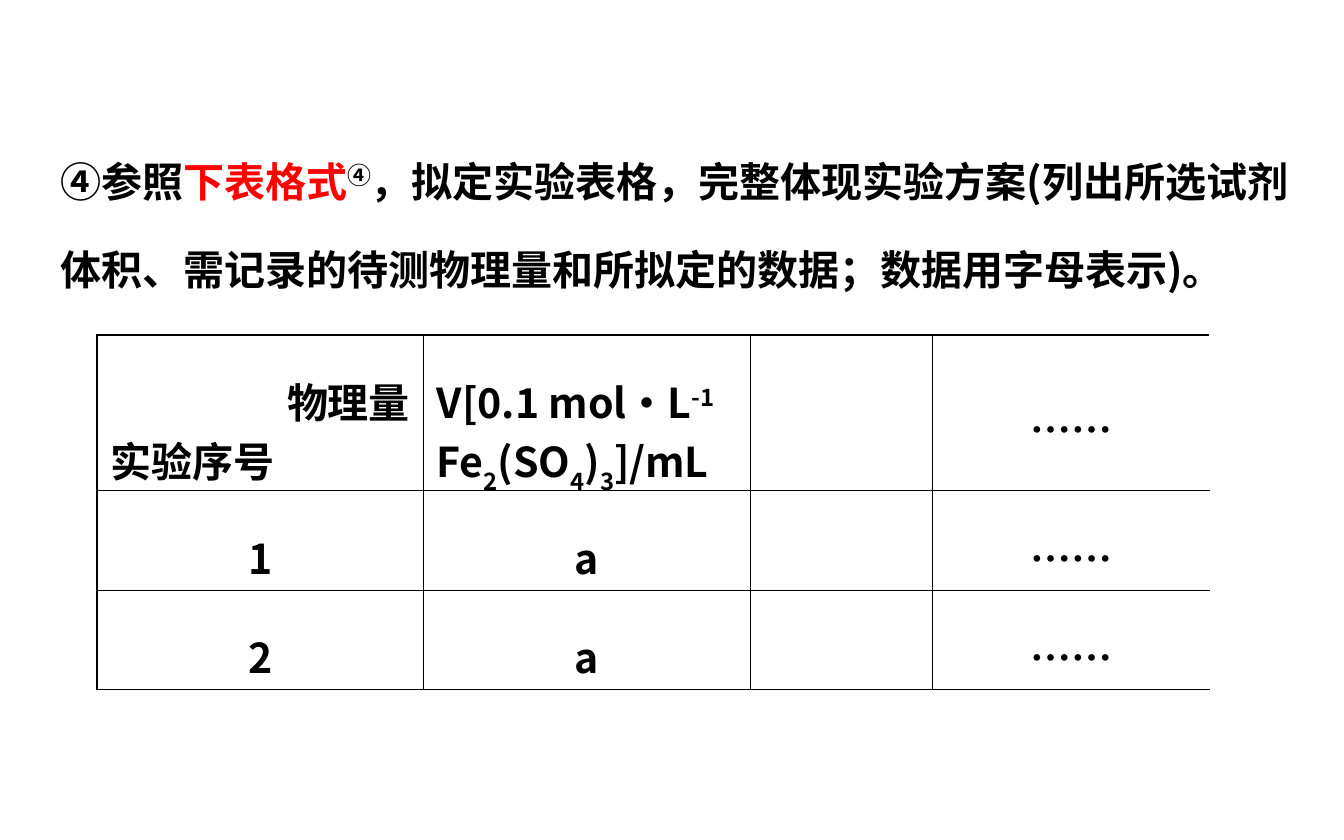
from pptx import Presentation
from pptx import util as u
from pptx.dml.color import RGBColor
from pptx.enum import text
from pptx.oxml import parse_xml
from pptx.oxml.ns import nsdecls, qn

PX = 9144  # EMU; 100 px to the inch
FONT = "Noto Sans CJK SC"
BLACK, RED, WHITE = "000000", "FF0000", "FFFFFF"
THIN, THICK = 0.45, 1.08
LEFT, CENTER, RIGHT = text.PP_ALIGN.LEFT, text.PP_ALIGN.CENTER, text.PP_ALIGN.RIGHT

QUESTION = [
    ("④参照", BLACK, 0),
    ("下表格式", RED, 0),
    ("④", BLACK, 30),
    ("，拟定实验表格，完整体现实验方案(列出所选试剂体积、需记录的待测物理量和所拟定的数据；数据用字母表示)。", BLACK, 0),
]


def plain(words):
    return [(words, BLACK, 0)]


def one_line(words):
    return [(plain(words), CENTER, 1.5)]


# Each cell is a list of paragraphs: (runs, alignment, line spacing)
CORNER = [(plain("物理量"), RIGHT, 1.5), (plain("实验序号"), LEFT, 1)]
VOLUME = [
    ([("V[0.1 mol·L", BLACK, 0), ("-1", BLACK, 30)], LEFT, 1.5),
    ([("Fe", BLACK, 0), ("2", BLACK, -30), ("(SO", BLACK, 0), ("4", BLACK, -30),
      (")", BLACK, 0), ("3", BLACK, -30), ("]/mL", BLACK, 0)], LEFT, 1),
]
DOTS = one_line("……")
ROWS = [[CORNER, VOLUME, [], DOTS]] + [
    [one_line(number), one_line("a"), [], DOTS] for number in ("1", "2")
]


def px(*lengths):
    return [u.Emu(length * PX) for length in lengths]


def colour(hex_string):
    return RGBColor.from_string(hex_string)


def write_paragraph(paragraph, runs, align, spacing):
    paragraph.alignment = align
    paragraph.line_spacing = spacing
    for words, ink, baseline in runs:
        run = paragraph.add_run()
        run.text = words
        run.font.size = u.Pt(22)
        run.font.bold = True
        run.font.name = FONT
        run.font.color.rgb = colour(ink)
        properties = run._r.get_or_add_rPr()
        east_asian = parse_xml(f'<a:ea {nsdecls("a")} typeface="{FONT}"/>')
        properties.find(qn("a:latin")).addnext(east_asian)
        if baseline:
            properties.set("baseline", str(baseline * 1000))


def set_borders(cell, borders):
    """Draw (side, colour, points) borders, given in the order L, R, T, B."""
    properties = cell._tc.get_or_add_tcPr()
    for place, (side, ink, points) in enumerate(borders):
        properties.insert(place, parse_xml(
            f'<a:ln{side} {nsdecls("a")} w="{u.Pt(points)}"><a:solidFill>'
            f'<a:srgbClr val="{ink}"/></a:solidFill></a:ln{side}>'))


def add_question(slide, left, top, width, height):
    frame = slide.shapes.add_textbox(*px(left, top, width, height)).text_frame
    frame.word_wrap = True
    write_paragraph(frame.paragraphs[0], QUESTION, LEFT, 1.8)


def add_experiment_table(slide, left, top, widths, heights):
    box = px(left, top, sum(widths), sum(heights))
    table = slide.shapes.add_table(len(heights), len(widths), *box).table
    for column, width in zip(table.columns, px(*widths)):
        column.width = width
    for row, height in zip(table.rows, px(*heights)):
        row.height = height

    last_row, last_column = len(heights) - 1, len(widths) - 1
    for r, contents in enumerate(ROWS):
        for c, paragraphs in enumerate(contents):
            cell = table.cell(r, c)
            cell.vertical_anchor = text.MSO_ANCHOR.MIDDLE
            cell.fill.background()
            set_borders(cell, [
                ("L", BLACK, THICK if c == 0 else THIN),
                ("R", WHITE if c == last_column else BLACK, THIN),
                ("T", BLACK, THICK if r == 0 else THIN),
                ("B", BLACK, THICK if r == last_row else THIN),
            ])
            for i, (runs, align, spacing) in enumerate(paragraphs):
                frame = cell.text_frame
                paragraph = frame.add_paragraph() if i else frame.paragraphs[0]
                write_paragraph(paragraph, runs, align, spacing)


def main():
    prs = Presentation()
    prs.slide_width, prs.slide_height = px(1000, 625)
    slide = prs.slides.add_slide(prs.slide_layouts[6])
    add_question(slide, 35, 82, 943, 142)
    add_experiment_table(slide, 72, 249, [243, 243, 136, 206], [116, 74, 74])
    prs.save("out.pptx")


if __name__ == "__main__":
    main()
